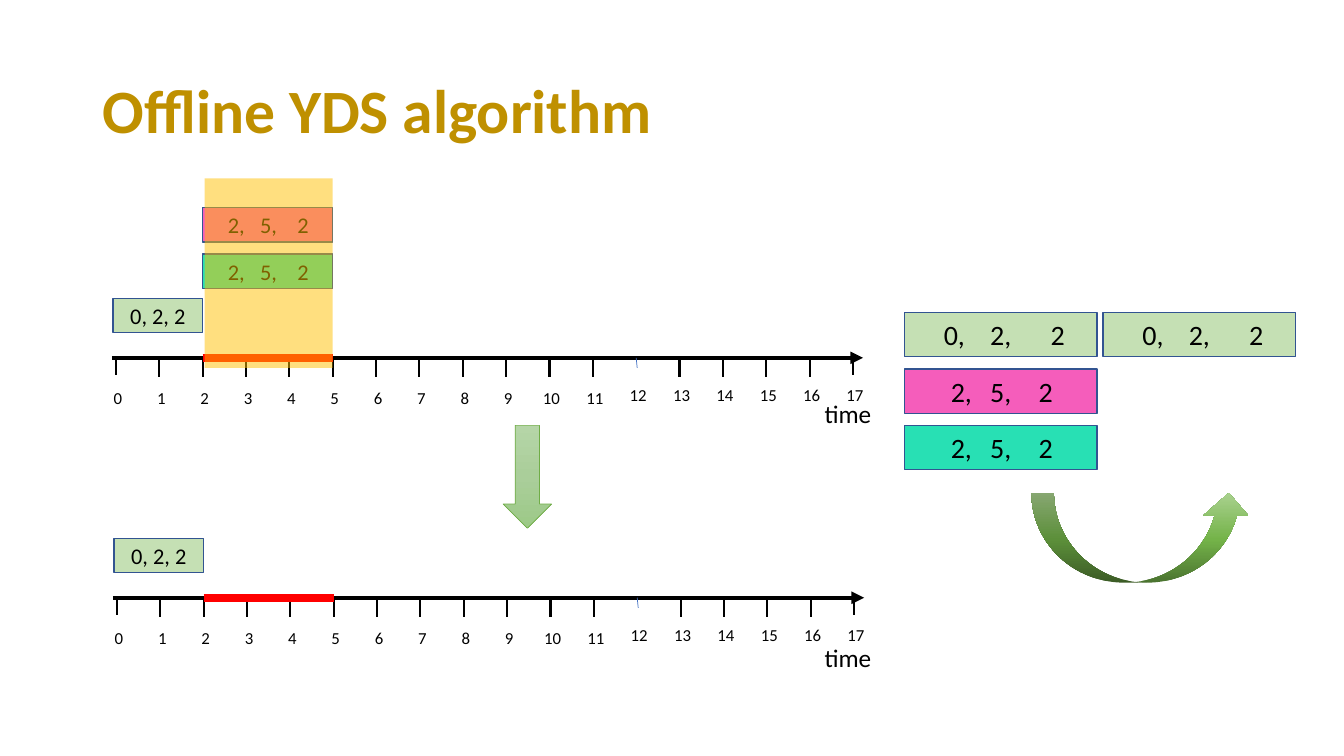
"""Build the slide that shows a scheduling step of the offline YDS algorithm."""
import pptx
import pptx.dml.color
import pptx.enum.dml
import pptx.enum.shapes
import pptx.enum.text
import pptx.oxml
import pptx.oxml.ns
import pptx.util

Inches = pptx.util.Inches
Shape = pptx.enum.shapes.MSO_SHAPE
Align = pptx.enum.text.PP_ALIGN
Anchor = pptx.enum.text.MSO_ANCHOR
qn = pptx.oxml.ns.qn

THEME = {
    "font": "Calibri",
    "title": "BF9000", "ink": "000000", "border": "325491", "busy": "FF0000",
    "faint": "4472C4", "window": "FFC000", "arrow_line": "70AD47",
    "green": "C5E0B4", "pink": "F55DBB", "teal": "28E0B4",
    "down": [(0, "B5D5A7"), (50, "AACE9A"), (100, "9CC987")],
    "curve": [(0, "4B7430"), (48, "74B349"), (100, "A9D18E")],
    "title_size": 44, "job_size": 20, "time_size": 18, "slot_size": 16, "tick_size": 12,
}
RGB = pptx.dml.color.RGBColor.from_string


def add_box(parent, frame, words, size, fill=None, tabs=(), **changes):
    """Add a text box, or a bordered block when a fill is given; tabs place its columns."""
    place = [Inches(value) for value in frame]
    if fill:
        box = parent.add_shape(Shape.RECTANGLE, *place)
        box.shadow.inherit = False
        box.fill.solid()
        box.fill.fore_color.rgb = RGB(THEME[fill])
        box.line.color.rgb = RGB(THEME["border"])
        box.line.width = pptx.util.Pt(1)
    else:
        box = parent.add_textbox(*place)
    layout = {"word_wrap": True, "vertical_anchor": Anchor.MIDDLE,
              "margin_left": Inches(tabs[0] if tabs else 0), "margin_right": 0,
              "margin_top": 0, "margin_bottom": 0}
    for name, value in layout.items():
        setattr(box.text_frame, name, value)
    para = box.text_frame.paragraphs[0]
    para.text = words
    para.alignment = Align.LEFT if tabs else changes.get("alignment", Align.CENTER)
    if tabs:
        stops = pptx.oxml.parse_xml(f"<a:tabLst {pptx.oxml.ns.nsdecls('a')}/>")
        for stop in tabs[1:]:
            stops.append(stops.makeelement(
                qn("a:tab"), {"pos": str(Inches(stop - tabs[0])), "algn": "l"}))
        para._p.get_or_add_pPr().append(stops)
    style = {"name": THEME["font"], "size": pptx.util.Pt(THEME[size]),
             "bold": changes.get("bold", False)}
    for name, value in style.items():
        setattr(para.runs[0].font, name, value)
    para.runs[0].font.color.rgb = RGB(THEME[changes.get("color", "ink")])
    return box


def add_line(parent, start, end, color, width, arrow=False):
    """Add a straight line, with an arrowhead at its end if asked."""
    line = parent.add_connector(pptx.enum.shapes.MSO_CONNECTOR.STRAIGHT,
                                *[Inches(value) for value in (*start, *end)])
    line.line.color.rgb = RGB(THEME[color])
    line.line.width = pptx.util.Pt(width)
    props = line._element.spPr
    if arrow:
        outline = line.line._get_or_add_ln()
        outline.append(outline.makeelement(qn("a:tailEnd"), {"type": "triangle"}))
    props.append(props.makeelement(qn("a:effectLst"), {}))


deck = pptx.Presentation()
deck.slide_width, deck.slide_height = Inches(13.33), Inches(7.5)
page = deck.slides.add_slide(deck.slide_layouts[6])

title = add_box(page.shapes, (1.02, 0.4, 11.3, 1.45), "Offline YDS algorithm", "title_size",
                alignment=Align.LEFT, bold=True, color="title")
title.text_frame.paragraphs[0].line_spacing = 0.9

PITCH = 0.43
SLOT_TABS = (0.25, 0.57, 0.94)
FREE_TABS, JOB_TABS = (0.39, 0.85, 1.45), (0.46, 0.85, 1.33)

for origin, axis, has_jobs in [(1.15, 3.55, True), (1.16, 5.93, False)]:
    timeline = page.shapes.add_group_shape().shapes
    add_line(timeline, (origin - 0.04, axis), (origin + 7.41, axis), "ink", 3, arrow=True)
    for hour in range(18):
        tick = origin + PITCH * hour
        if hour == 12:
            add_line(timeline, (tick, axis), (tick + 0.01, axis + 0.1), "faint", 0.5)
        else:
            length = 0.17 if hour in (0, 17) else 0.19
            add_line(timeline, (tick, axis), (tick, axis + length), "ink", 1.5)
        label_top = axis + (0.27 if hour < 12 else 0.24)
        add_box(timeline, (tick - 0.17, label_top, 0.38, 0.26), str(hour), "tick_size")
    add_box(timeline, (origin - 0.03, axis - 0.59, 0.89, 0.34), "0, 2, 2", "slot_size", "green")
    if has_jobs:
        for top, fill in [(2.06, "pink"), (2.52, "teal")]:
            add_box(timeline, (2.01, top, 1.29, 0.34), "2,\t5,\t2", "slot_size", fill, SLOT_TABS)
    add_line(timeline, (origin + 2 * PITCH, axis), (origin + 5 * PITCH, axis), "busy", 6)
    if has_jobs:
        window = page.shapes.add_shape(
            Shape.RECTANGLE, Inches(2.03), Inches(1.77), Inches(1.27), Inches(1.88))
        window.shadow.inherit = False
        window.fill.solid()
        window.fill.fore_color.rgb = RGB(THEME["window"])
        window.line.fill.background()
        tint = window._element.spPr.find(".//" + qn("a:srgbClr"))
        tint.append(tint.makeelement(qn("a:alpha"), {"val": "50000"}))

for kind, frame, colors, angle, outline in [
    (Shape.DOWN_ARROW, (4.99, 4.22, 0.48, 1.02), "down", 90, "arrow_line"),
    (Shape.CURVED_UP_ARROW, (10.23, 4.89, 2.18, 0.89), "curve", 270, None),
]:
    arrow = page.shapes.add_shape(kind, *[Inches(value) for value in frame])
    arrow.shadow.inherit = False
    arrow.fill.gradient()
    blend = arrow._element.spPr.find(qn("a:gradFill"))
    blend.find(qn("a:lin")).set("ang", str(angle * 60000))
    stops = blend.find(qn("a:gsLst"))
    stops.clear()
    for position, color in THEME[colors]:
        stop = stops.makeelement(qn("a:gs"), {"pos": str(position * 1000)})
        stop.append(stop.makeelement(qn("a:srgbClr"), {"val": color}))
        stops.append(stop)
    if outline:
        arrow.line.color.rgb = RGB(THEME[outline])
        arrow.line.width = pptx.util.Pt(0.5)
    else:
        arrow.line.fill.background()

jobs = page.shapes.add_group_shape().shapes
for row, (words, fill, tabs) in enumerate([
    ("0,\t2,\t2", "green", FREE_TABS),
    ("2,\t5,\t2", "pink", JOB_TABS),
    ("2,\t5,\t2", "teal", JOB_TABS),
]):
    add_box(jobs, (8.97, 3.1 + 0.56 * row, 1.91, 0.44), words, "job_size", fill, tabs)
add_box(page.shapes, (10.94, 3.1, 1.91, 0.44), "0,\t2,\t2", "job_size", "green", FREE_TABS)

for top in (6.32, 3.9):
    add_box(page.shapes, (8.11, top, 0.6, 0.4), "time", "time_size")

deck.save("out.pptx")
